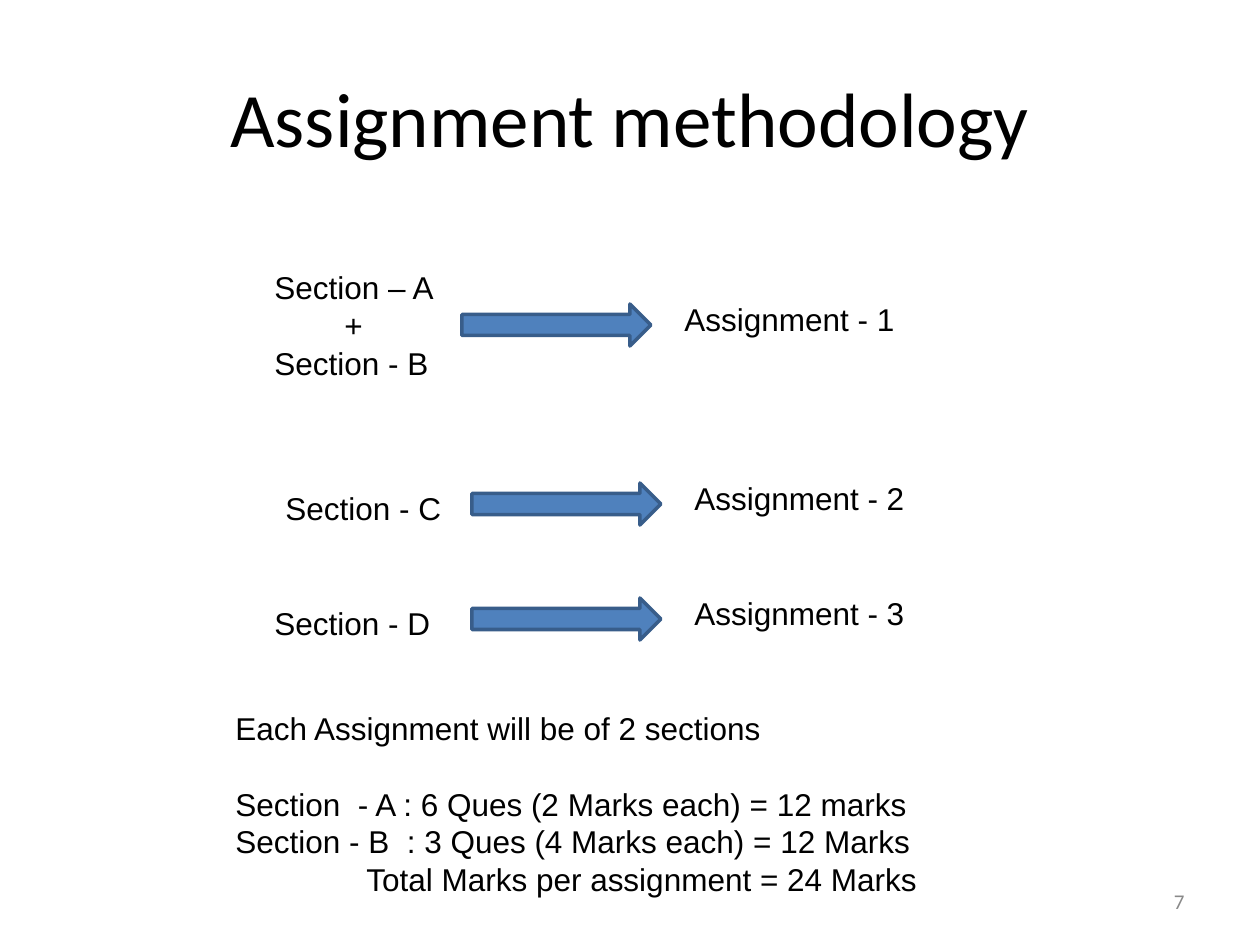
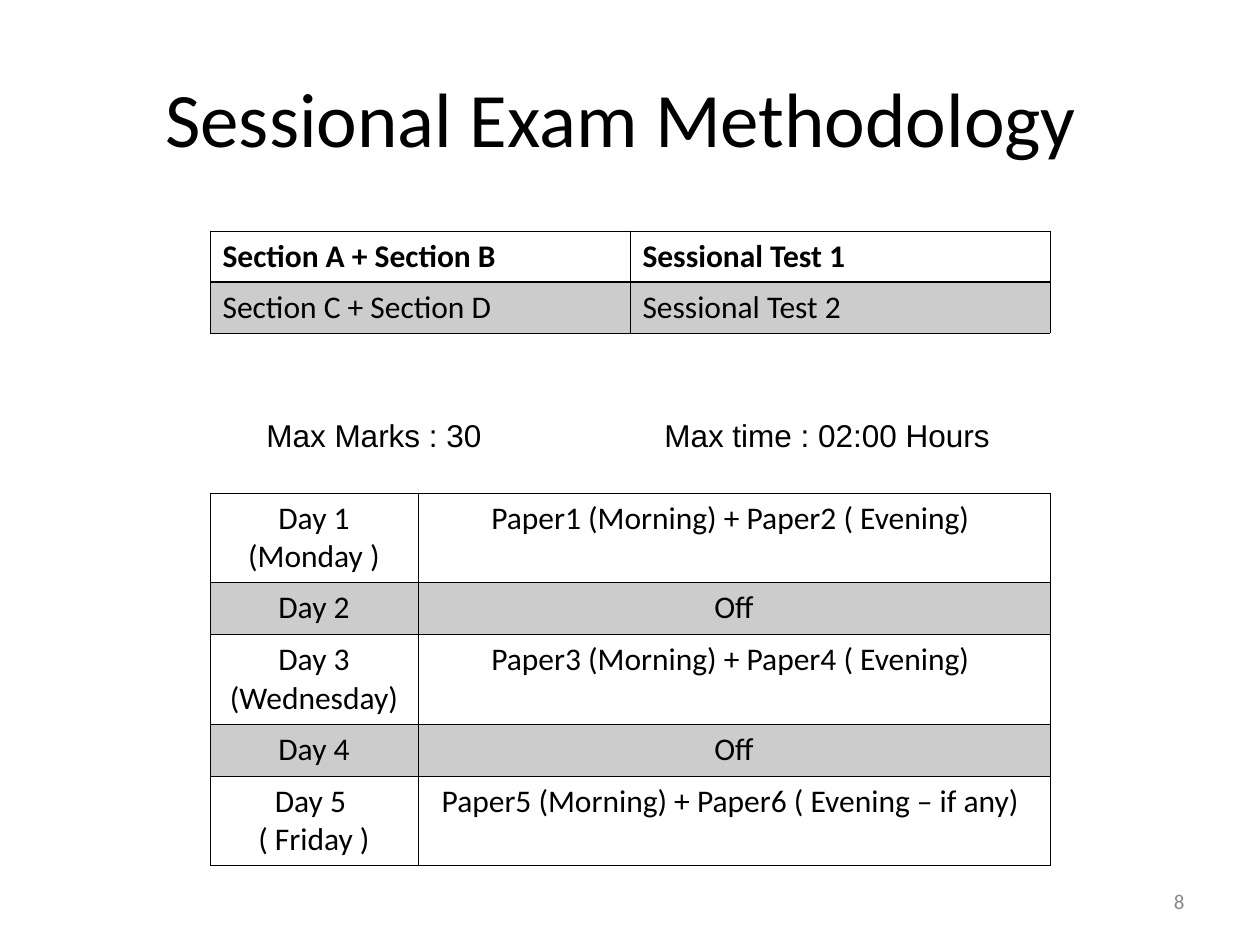
"""Builds two slides on assignment and sessional exam methodology."""
from lxml import etree
from pptx import Presentation
from pptx.dml.color import RGBColor
from pptx.enum.shapes import MSO_SHAPE as Shape
from pptx.enum.text import MSO_ANCHOR as Anchor, MSO_AUTO_SIZE as AutoSize, PP_ALIGN as Align
from pptx.oxml.ns import qn
from pptx.util import Emu, Pt

BLACK = RGBColor(0x00, 0x00, 0x00)
BAND_GRAY = RGBColor(0xCC, 0xCC, 0xCC)
NUMBER_GRAY = RGBColor(0x89, 0x89, 0x89)
ARROW_BLUE = RGBColor(0x4F, 0x81, 0xBD)
ARROW_EDGE = RGBColor(0x38, 0x5D, 0x8A)
BODY_FONT, HEADING_FONT = "Arial", "Calibri"
TITLE_SIZE, TEXT_SIZE, NUMBER_SIZE = 44, 18, 12
THIN, THICK = 0.45, 0.96
LINE_HEIGHT = 50
TITLE_ONLY = 5


def px(length):
    return Emu(round(length * 914400 / 126))


def box(left, top, width, height):
    return px(left), px(top), px(width), px(height)


class Deck:
    def __init__(self):
        self.presentation = Presentation()
        self.presentation.slide_width = px(1260)
        self.presentation.slide_height = px(945)
        self.slide = None

    def style(self, paragraph, font=BODY_FONT, size=TEXT_SIZE, color=BLACK, bold=False, align=Align.LEFT):
        paragraph.alignment = align
        paragraph.font.name = font
        paragraph.font.size = Pt(size)
        paragraph.font.bold = bold
        paragraph.font.color.rgb = color

    def add_slide(self, title, number):
        layout = self.presentation.slide_layouts[TITLE_ONLY]
        self.slide = self.presentation.slides.add_slide(layout)
        heading = self.slide.shapes.title
        heading.left, heading.top, heading.width, heading.height = box(63, 38, 1134, 158)
        heading.text_frame.text = title
        heading.text_frame.vertical_anchor = Anchor.MIDDLE
        self.style(heading.text_frame.paragraphs[0], HEADING_FONT, TITLE_SIZE, align=Align.CENTER)
        footer = self.text(903, 876, 294, LINE_HEIGHT, str(number))
        footer.auto_size = AutoSize.NONE
        footer.vertical_anchor = Anchor.MIDDLE
        self.style(footer.paragraphs[0], HEADING_FONT, NUMBER_SIZE, NUMBER_GRAY, align=Align.RIGHT)

    def text(self, left, top, width, height, content):
        frame = self.slide.shapes.add_textbox(*box(left, top, width, height)).text_frame
        frame.word_wrap = True
        frame.auto_size = AutoSize.SHAPE_TO_FIT_TEXT
        frame.text = content
        for paragraph in frame.paragraphs:
            self.style(paragraph)
        return frame

    def indent(self, paragraph, margin):
        properties = paragraph._p.get_or_add_pPr()
        properties.set("marL", str(px(margin)))
        properties.set("indent", "0")

    def tab_stop(self, paragraph, position):
        stops = etree.Element(qn("a:tabLst"))
        etree.SubElement(stops, qn("a:tab"), pos=str(px(position)), algn="l")
        properties = paragraph._p.get_or_add_pPr()
        defaults = properties.find(qn("a:defRPr"))
        defaults.addprevious(stops)

    def arrow(self, left, top):
        shape = self.slide.shapes.add_shape(Shape.RIGHT_ARROW, *box(left, top, 189, 42))
        shape.shadow.inherit = False
        shape.fill.solid()
        shape.fill.fore_color.rgb = ARROW_BLUE
        shape.line.color.rgb = ARROW_EDGE
        shape.line.width = Pt(2)

    def border(self, cell, side, width):
        line = etree.SubElement(cell._tc.get_or_add_tcPr(), qn(f"a:ln{side}"), w=str(Pt(width)))
        fill = etree.SubElement(line, qn("a:solidFill"))
        etree.SubElement(fill, qn("a:srgbClr"), val=str(BLACK))

    def table(self, left, top, widths, heights, rows, align=Align.LEFT, bold_header=False):
        frame = self.slide.shapes.add_table(
            len(rows), len(widths), *box(left, top, sum(widths), sum(heights)))
        table = frame.table
        table.first_row = table.horz_banding = False
        for column, width in zip(table.columns, widths):
            column.width = px(width)
        for index, (row, height, texts) in enumerate(zip(table.rows, heights, rows)):
            row.height = px(height)
            edges = {"L": THIN, "R": THIN,
                     "T": THICK if index == 1 else THIN,
                     "B": THICK if index == 0 else THIN}
            for cell, content in zip(row.cells, texts):
                cell.text = content
                for paragraph in cell.text_frame.paragraphs:
                    self.style(paragraph, HEADING_FONT, bold=bold_header and index == 0, align=align)
                for side, width in edges.items():
                    self.border(cell, side, width)
                if index % 2:
                    cell.fill.solid()
                    cell.fill.fore_color.rgb = BAND_GRAY
                else:
                    cell.fill.background()


def add_assignments(deck):
    deck.add_slide("Assignment methodology", 7)
    sections = deck.text(262, 262, 262, 126, "Section – A\n+\nSection - B")
    deck.indent(sections.paragraphs[1], 70)
    deck.text(273, 483, 200, LINE_HEIGHT, "Section - C")
    deck.text(262, 598, 262, LINE_HEIGHT, "Section - D")
    for number, (left, top) in enumerate([(462, 304), (472, 483), (472, 598)], 1):
        deck.arrow(left, top)
        deck.text(left + 210, top - 10, 262, LINE_HEIGHT, f"Assignment - {number}")
    marks = deck.text(223, 703, 877, 202, "\n".join([
        "Each Assignment will be of 2 sections",
        "Section  - A : 6 Ques (2 Marks each) = 12 marks",
        "Section - B  : 3 Ques (4 Marks each) = 12 Marks",
        "Total Marks per assignment = 24 Marks"]))
    marks.paragraphs[1].space_before = Pt(21.5)
    deck.indent(marks.paragraphs[3], 131)


def add_sessional_exam(deck):
    deck.add_slide("Sessional Exam Methodology ", 8)
    deck.table(210, 493, [208, 632], [88, 52, 88, 52, 88], [
        ("Day 1 (Monday )", "Paper1 (Morning) + Paper2 ( Evening) "),
        ("Day 2", "Off"),
        ("Day 3 (Wednesday)", "Paper3 (Morning) + Paper4 ( Evening) "),
        ("Day 4", "Off"),
        ("Day 5 \n( Friday )", "Paper5 (Morning) + Paper6 ( Evening – if any) ")],
        align=Align.CENTER)
    limits = deck.text(254, 410, 759, LINE_HEIGHT, "Max Marks : 30\tMax time : 02:00 Hours")
    deck.tab_stop(limits.paragraphs[0], 398)
    deck.table(210, 231, [420, 420], [51, 51], [
        ("Section A + Section B", "Sessional Test 1"),
        ("Section C + Section D", "Sessional Test 2")],
        bold_header=True)


def main():
    deck = Deck()
    add_assignments(deck)
    add_sessional_exam(deck)
    deck.presentation.save("out.pptx")


if __name__ == "__main__":
    main()
